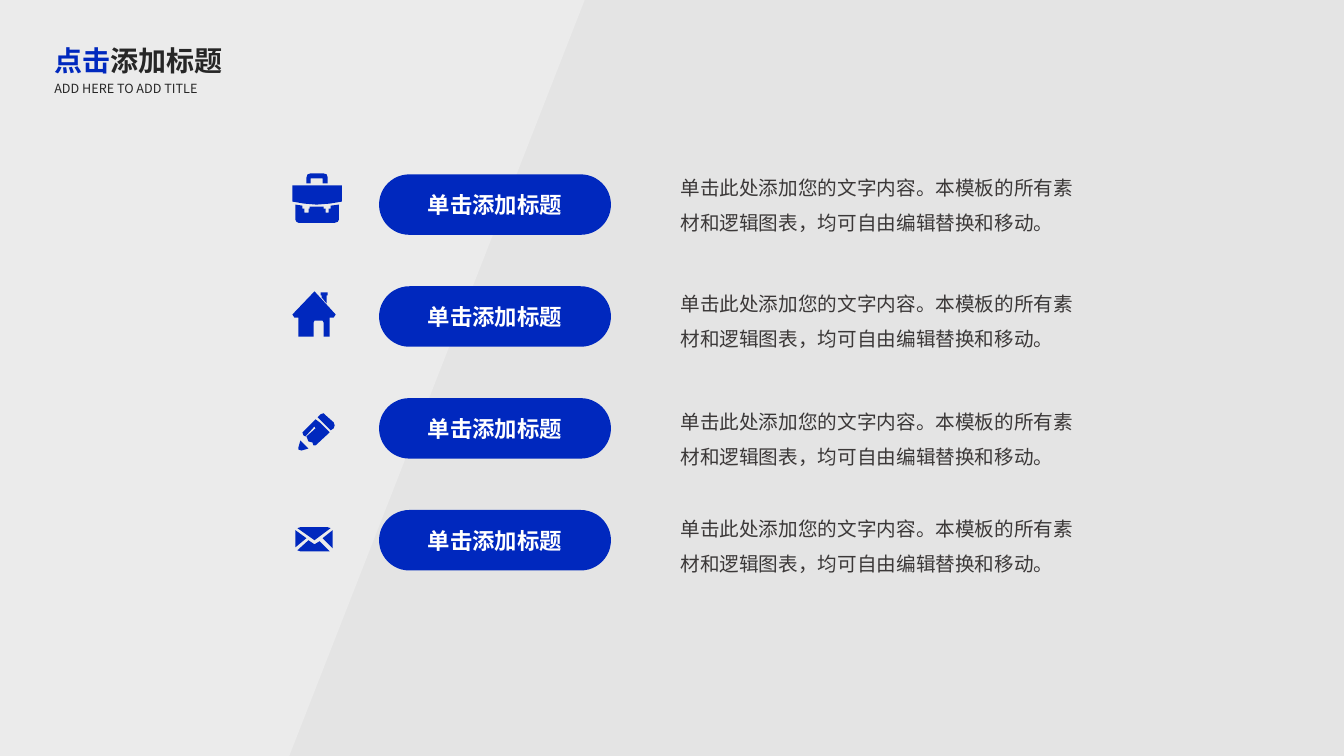
from lxml import etree
from pptx import Presentation
from pptx.dml.color import RGBColor
from pptx.enum.shapes import MSO_SHAPE
from pptx.enum.text import MSO_ANCHOR, MSO_AUTO_SIZE, PP_ALIGN
from pptx.oxml.ns import qn
from pptx.util import Inches, Pt

PILL = MSO_SHAPE.ROUNDED_RECTANGLE
TOP, MIDDLE = MSO_ANCHOR.TOP, MSO_ANCHOR.MIDDLE
LEFT, CENTER, JUSTIFY = PP_ALIGN.LEFT, PP_ALIGN.CENTER, PP_ALIGN.JUSTIFY
NO_AUTOFIT = MSO_AUTO_SIZE.NONE

BLUE = RGBColor(0x00, 0x28, 0xBE)
WHITE = RGBColor(0xFF, 0xFF, 0xFF)
BACKGROUND = RGBColor(0xE4, 0xE4, 0xE4)
FACET = RGBColor(0xF1, 0xF1, 0xF1)
DARK = RGBColor(0x26, 0x26, 0x26)
BODY = RGBColor(0x3B, 0x38, 0x38)
FONT = "Noto Sans CJK SC"
UNIT = Inches(0.01)

BRIEFCASE = [
    [(46, 31), (46, 46), (45, 48), (42, 49), (6, 49), (4, 48), (3, 46), (3, 31),
     (10, 32), (10, 35), (12, 35), (12, 39), (16, 39), (16, 35), (17, 35), (17, 33),
     (31, 33), (31, 35), (33, 35), (33, 39), (36, 39), (36, 35), (38, 35), (38, 32)],
    [(18, 0), (31, 0), (34, 1), (35, 4), (35, 10), (30, 10), (30, 5), (18, 5),
     (18, 10), (14, 10), (14, 4), (15, 1)],
    [(0, 12), (0, 28), (12, 30), (24, 31), (37, 30), (49, 28), (49, 12)],
]
HOUSE = [
    [(37, 26), (37, 45), (31, 45), (31, 31), (30, 29), (22, 29), (21, 31), (21, 45),
     (6, 45), (6, 26), (2, 26), (0, 23), (22, 0), (43, 23), (41, 26)],
    [(34, 4), (35, 4), (35, 1), (28, 1), (28, 4), (29, 4), (29, 6), (34, 12)],
]
PENCIL = [
    [(32, 17), (35, 15), (36, 12), (35, 9), (27, 2), (25, 0), (22, 1), (19, 4)],
    [(21, 9), (31, 19), (17, 32), (15, 32), (14, 29), (10, 28), (8, 23), (17, 15),
     (16, 13), (7, 23), (5, 22), (4, 19), (17, 6)],
    [(2, 27), (0, 34), (0, 36), (3, 37), (10, 35)],
]
ENVELOPE = [
    [(5, 0), (32, 0), (35, 1), (19, 13), (2, 1)],
    [(37, 3), (27, 11), (37, 21)],
    [(34, 24), (5, 24), (2, 23), (13, 13), (19, 17), (24, 14)],
    [(0, 20), (11, 11), (0, 3)],
]
ROWS = [
    (BRIEFCASE, 2.9, 1.72, 1.58),
    (HOUSE, 2.9, 2.89, 2.73),
    (PENCIL, 2.96, 4.1, 3.9),
    (ENVELOPE, 2.93, 5.23, 4.96),
]
ROW_PITCH = 1.11
LABEL = "单击添加标题"
DESCRIPTION = "单击此处添加您的文字内容。本模板的所有素材和逻辑图表，均可自由编辑替换和移动。"

presentation = Presentation()
presentation.slide_width = Inches(13.33)
presentation.slide_height = Inches(7.5)
slide = presentation.slides.add_slide(presentation.slide_layouts[5])
slide.background.fill.solid()
slide.background.fill.fore_color.rgb = BACKGROUND


def draw_outline(contours, left, top, color):
    builder = slide.shapes.build_freeform(*contours[0][0], scale=UNIT)
    builder.add_line_segments(contours[0][1:], close=True)
    for contour in contours[1:]:
        builder.move_to(*contour[0])
        builder.add_line_segments(contour[1:], close=True)
    shape = builder.convert_to_shape(Inches(left), Inches(top))
    shape.shadow.inherit = False
    shape.fill.solid()
    shape.fill.fore_color.rgb = color
    shape.line.fill.background()
    return shape


def write_text(shape, pieces, size, bold=False, align=LEFT, anchor=TOP):
    frame = shape.text_frame
    frame.word_wrap = True
    frame.auto_size = NO_AUTOFIT
    frame.vertical_anchor = anchor
    frame.margin_left = frame.margin_right = Inches(0.1)
    frame.margin_top = frame.margin_bottom = Inches(0.05)
    paragraph = frame.paragraphs[0]
    paragraph.alignment = align
    for text, color in pieces:
        run = paragraph.add_run()
        run.text = text
        run.font.size = Pt(size)
        run.font.bold = bold
        run.font.color.rgb = color
        run.font.name = FONT
        east_asian = etree.SubElement(run.font._element, qn("a:ea"))
        east_asian.set("typeface", FONT)
    return paragraph


facet = draw_outline([[(0, 0), (580, 0), (287, 750), (0, 750)]], 0, 0, FACET)
facet_color = facet._element.spPr.find(qn("a:solidFill"))[0]
etree.SubElement(facet_color, qn("a:alpha")).set("val", "54000")
slide.shapes._spTree.insert(2, facet._element)

title = slide.shapes.title
title.left, title.top = Inches(0.44), Inches(0.38)
title.width, title.height = Inches(2.01), Inches(0.46)
write_text(title, [("点击", BLUE), ("添加标题", DARK)], 20, bold=True)

subtitle = slide.shapes.add_textbox(Inches(0.44), Inches(0.75), Inches(1.85), Inches(0.25))
write_text(subtitle, [("ADD HERE TO ADD TITLE", DARK)], 9, align=JUSTIFY)

for row, (icon, icon_left, icon_top, text_top) in enumerate(ROWS):
    draw_outline(icon, icon_left, icon_top, BLUE)

    pill = slide.shapes.add_shape(
        PILL, Inches(3.76), Inches(1.73 + row * ROW_PITCH), Inches(2.3), Inches(0.6))
    pill.adjustments[0] = 0.5
    pill.shadow.inherit = False
    pill.fill.solid()
    pill.fill.fore_color.rgb = BLUE
    pill.line.fill.background()
    write_text(pill, [(LABEL, WHITE)], 16, bold=True, align=CENTER, anchor=MIDDLE)

    description = slide.shapes.add_textbox(
        Inches(6.65), Inches(text_top), Inches(4.24), Inches(0.77))
    paragraph = write_text(description, [(DESCRIPTION, BODY)], 14)
    paragraph.line_spacing = 1.5

presentation.save("out.pptx")
